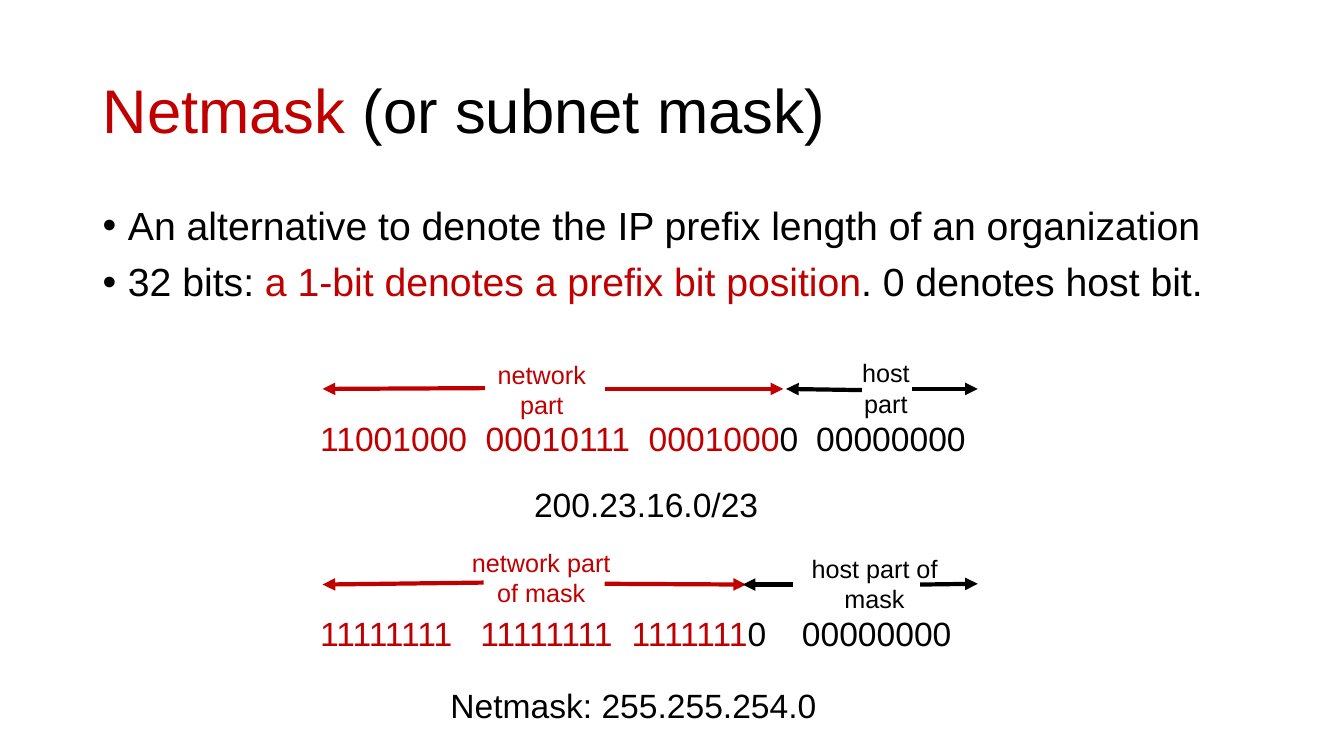
"""Build the slide that explains the netmask of an IP prefix."""
from dataclasses import dataclass

from lxml import etree
from pptx import Presentation
from pptx import util as u
from pptx.dml import color
from pptx.enum import shapes, text
from pptx.oxml import ns

RED, BLACK = "C00000", "000000"
FONT = "Arial"


@dataclass(frozen=True)
class Run:
    text: str
    color: str = BLACK


@dataclass(frozen=True)
class Label:
    box: tuple[float, float, float, float]
    paragraphs: list[list[Run]]
    size: int = 24
    centered: bool = False
    wrap: bool = False
    tabs: tuple[float, ...] = ()


@dataclass(frozen=True)
class Arrow:
    start: tuple[float, float]
    end: tuple[float, float]
    color: str


LABELS = [
    Label((7.82, 10.41, 17, 1.27),
          [[Run("11001000\t00010111\t0001000", RED), Run("0\t00000000")]],
          wrap=True, tabs=(4.17, 8.28, 12.5)),
    Label((12.27, 8.92, 2.77, 1.8), [[Run("network", RED)], [Run("part", RED)]],
          size=18, centered=True),
    Label((21.46, 8.89, 1.73, 1.8), [[Run("host")], [Run("part")]],
          size=18, centered=True),
    Label((13.21, 12.06, 6.22, 1.3), [[Run("200.23.16.0/23")]]),
    Label((7.82, 15.32, 16.84, 1.27),
          [[Run("11111111\t11111111\t1111111", RED), Run("0\t00000000")]],
          wrap=True, tabs=(4.04, 7.85, 12.14)),
    Label((11.61, 13.67, 4.06, 1.8), [[Run("network part of mask", RED)]],
          size=18, centered=True, wrap=True),
    Label((19.79, 13.82, 4.5, 1.8), [[Run("host part of mask")]],
          size=18, centered=True, wrap=True),
    Label((11.1, 17.14, 9.83, 1.27), [[Run("Netmask: 255.255.254.0")]]),
]

ARROWS = [
    Arrow((15.24, 9.8), (19.74, 9.8), RED),
    Arrow((12.22, 9.78), (8.13, 9.8), RED),
    Arrow((21.72, 9.83), (19.81, 9.8), BLACK),
    Arrow((22.99, 9.8), (24.64, 9.8), BLACK),
    Arrow((15.24, 14.71), (18.8, 14.73), RED),
    Arrow((12.19, 14.68), (8.13, 14.73), RED),
    Arrow((19.99, 14.73), (18.72, 14.73), BLACK),
    Arrow((23.19, 14.73), (24.64, 14.71), BLACK),
]

TITLE = [Run("Netmask ", RED), Run("(or subnet mask)")]
BULLETS = [
    [Run("An alternative to denote the IP prefix length of an organization")],
    [Run("32 bits: "), Run("a 1-bit denotes a prefix bit position", RED),
     Run(". 0 denotes host bit.")],
]


def rgb(value: str) -> color.RGBColor:
    return color.RGBColor.from_string(value)


def add_runs(p, runs: list[Run], size: int) -> None:
    for run in runs:
        r = p.add_run()
        r.text = run.text
        r.font.name = FONT
        r.font.size = u.Pt(size)
        r.font.color.rgb = rgb(run.color)


def next_paragraph(tf, index: int):
    return tf.add_paragraph() if index else tf.paragraphs[0]


def place(sp, left: float, top: float, width: float, height: float) -> None:
    sp.left, sp.top = u.Cm(left), u.Cm(top)
    sp.width, sp.height = u.Cm(width), u.Cm(height)


def fill_title(sp) -> None:
    place(sp, 2.33, 1.01, 29.21, 3.68)
    tf = sp.text_frame
    tf.vertical_anchor = text.MSO_ANCHOR.MIDDLE
    p = tf.paragraphs[0]
    p.alignment = text.PP_ALIGN.LEFT
    p.line_spacing = 0.9
    add_runs(p, TITLE, 44)


def fill_body(sp) -> None:
    place(sp, 2.33, 5.08, 29.21, 12.09)
    for i, runs in enumerate(BULLETS):
        p = next_paragraph(sp.text_frame, i)
        p.line_spacing = 0.9
        p.space_before = u.Pt(10 if i else 0)
        props = p._p.get_or_add_pPr()
        props.set("marL", str(u.Cm(0.64)))
        props.set("indent", str(u.Cm(-0.64)))
        etree.SubElement(props, ns.qn("a:buFont"), typeface=FONT)
        etree.SubElement(props, ns.qn("a:buChar"), char="•")
        add_runs(p, runs, 28)


def add_label(slide, label: Label) -> None:
    sp = slide.shapes.add_textbox(*map(u.Cm, label.box))
    tf = sp.text_frame
    tf.word_wrap = label.wrap
    tf.auto_size = text.MSO_AUTO_SIZE.SHAPE_TO_FIT_TEXT
    for i, runs in enumerate(label.paragraphs):
        p = next_paragraph(tf, i)
        p.alignment = text.PP_ALIGN.CENTER if label.centered else text.PP_ALIGN.LEFT
        if label.tabs:
            stops = etree.SubElement(p._p.get_or_add_pPr(), ns.qn("a:tabLst"))
            for tab in label.tabs:
                etree.SubElement(stops, ns.qn("a:tab"), pos=str(u.Cm(tab)), algn="l")
        add_runs(p, runs, label.size)


def add_arrow(slide, arrow: Arrow) -> None:
    sp = slide.shapes.add_connector(
        shapes.MSO_CONNECTOR.STRAIGHT, *map(u.Cm, arrow.start + arrow.end))
    sp.line.color.rgb = rgb(arrow.color)
    sp.line.width = u.Pt(3)
    etree.SubElement(sp.line._get_or_add_ln(), ns.qn("a:tailEnd"), type="triangle")
    etree.SubElement(sp._element.spPr, ns.qn("a:effectLst"))


def main() -> None:
    prs = Presentation()
    prs.slide_width, prs.slide_height = u.Cm(33.87), u.Cm(19.05)
    slide = prs.slides.add_slide(prs.slide_layouts[1])
    fill_title(slide.shapes.title)
    fill_body(slide.placeholders[1])
    for label in LABELS:
        add_label(slide, label)
    for arrow in ARROWS:
        add_arrow(slide, arrow)
    prs.save("out.pptx")


if __name__ == "__main__":
    main()
